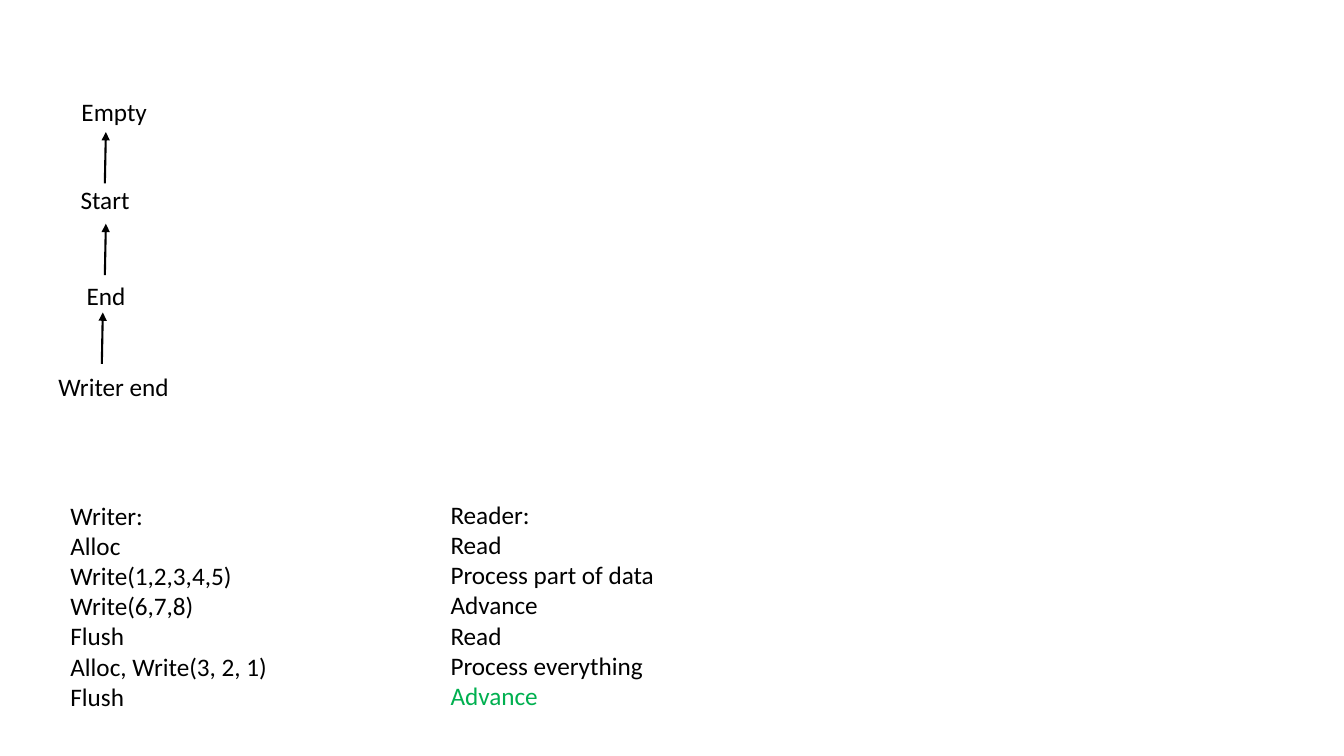
"""Build a slide of buffer pointers with the writer and reader steps."""
from pptx import Presentation
from pptx.dml.color import RGBColor
from pptx.enum import shapes, text
from pptx.oxml.ns import qn
from pptx.util import Inches, Pt
from lxml import etree

COLORS = {"ink": "000000", "done": "00B050"}
FONT = "Calibri"

STEPS = [
    (0.6, 4.91, 2.17, ["Writer:", "Alloc", "Write(1,2,3,4,5)", "Write(6,7,8)",
                       "Flush", "Alloc, Write(3, 2, 1)", "Flush"]),
    (4.37, 4.9, 2.24, ["Reader:", "Read", "Process part of data", "Advance",
                       "Read", "Process everything", "Advance"]),
]
POINTERS = [
    (0.71, 0.91, 0.86, "Empty"),
    (0.7, 1.78, 0.69, "Start"),
    (0.76, 2.73, 0.59, "End"),
    (0.48, 3.63, 1.31, "Writer end"),
]
ARROWS = [(1.04, 1.82), (1.04, 2.73), (1.01, 3.61)]
ARROW_RUN, ARROW_RISE = 0.01, 0.51
LINE_HEIGHT, PADDING = 0.3, 0.1


def add_text(s, left, top, width, lines):
    height = LINE_HEIGHT * len(lines) + PADDING
    sp = s.shapes.add_textbox(Inches(left), Inches(top), Inches(width), Inches(height))
    tf = sp.text_frame
    tf.word_wrap = False
    tf.auto_size = text.MSO_AUTO_SIZE.SHAPE_TO_FIT_TEXT
    tf.text = "\n".join(lines)
    for p in tf.paragraphs:
        p.font.name = FONT
        p.font.size = Pt(18)
        p.font.color.rgb = RGBColor.from_string(COLORS["ink"])
    return tf


def add_arrow(s, x, y):
    c = s.shapes.add_connector(shapes.MSO_CONNECTOR.STRAIGHT, Inches(x), Inches(y),
                               Inches(x + ARROW_RUN), Inches(y - ARROW_RISE))
    c.line.width = Pt(1.5)
    c.line.color.rgb = RGBColor.from_string(COLORS["ink"])
    etree.SubElement(c.line._get_or_add_ln(), qn("a:tailEnd"), type="triangle")
    etree.SubElement(c._element.spPr, qn("a:effectLst"))


def main():
    prs = Presentation()
    prs.slide_width, prs.slide_height = Inches(13.33), Inches(7.5)
    s = prs.slides.add_slide(prs.slide_layouts[6])
    writer, reader = [add_text(s, *column) for column in STEPS]
    reader.paragraphs[-1].font.color.rgb = RGBColor.from_string(COLORS["done"])
    for x, y in ARROWS:
        add_arrow(s, x, y)
    for left, top, width, label in POINTERS:
        add_text(s, left, top, width, [label])
    prs.save("out.pptx")


if __name__ == "__main__":
    main()
